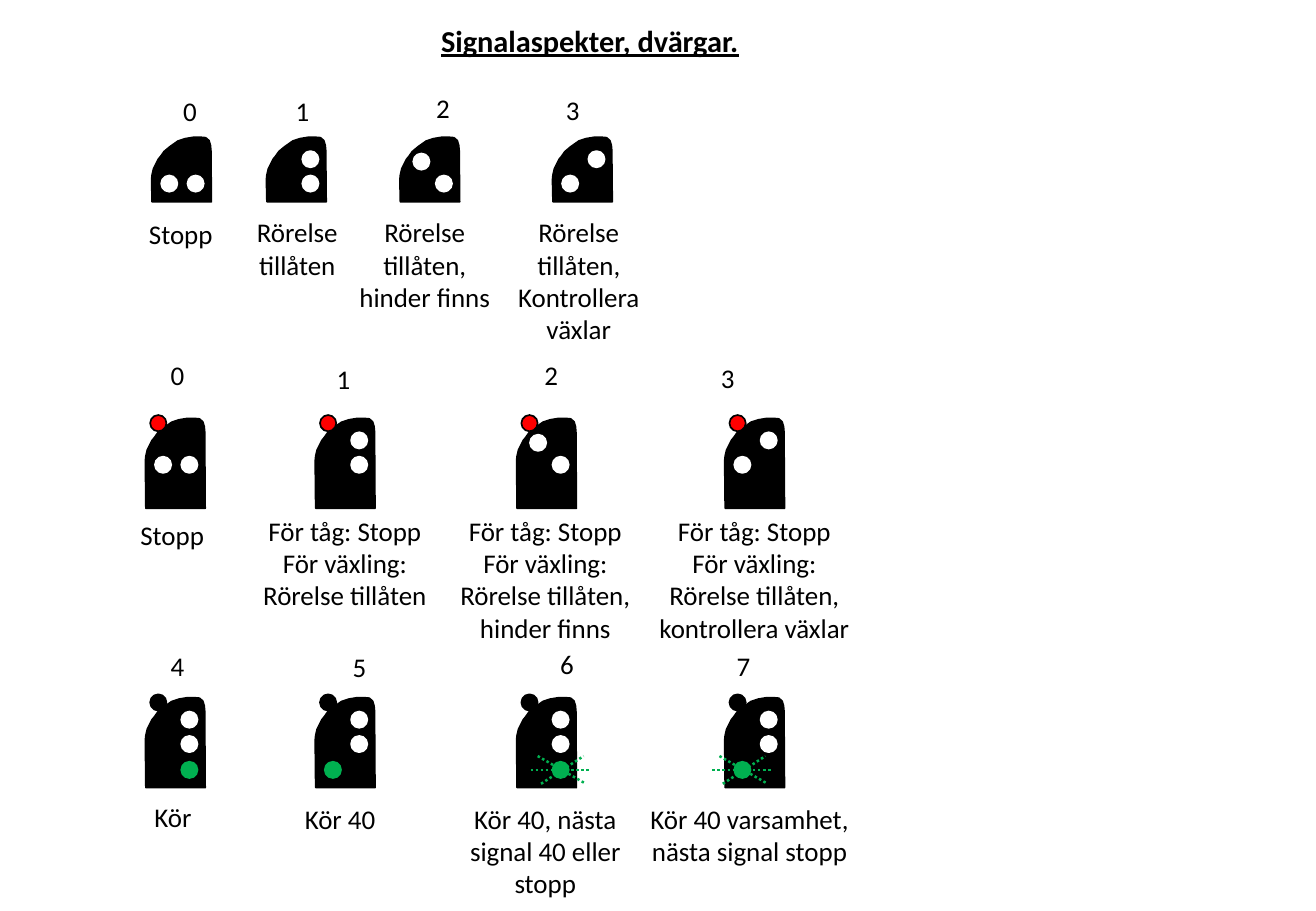
from collections import namedtuple

from lxml import etree
from pptx import Presentation
from pptx import util as u
from pptx.dml.color import RGBColor
from pptx.enum import dml, shapes, text
from pptx.oxml.ns import qn

BLACK = RGBColor(0x00, 0x00, 0x00)
WHITE = RGBColor(0xFF, 0xFF, 0xFF)
RED = RGBColor(0xFF, 0x00, 0x00)
GREEN = RGBColor(0x00, 0xB0, 0x50)

LAMP_SIZE = 0.34
LEFT, RIGHT = 0.2, 0.75
HIGH, MID, LOW = 0.29, 0.8, 1.34
MAST_LAMP = (0.1, -0.07)
STOP = [(LEFT, MID), (RIGHT, MID)]
CLEAR = [(RIGHT, HIGH), (RIGHT, MID)]
OBSTACLE = [(0.28, 0.34), (RIGHT, MID)]
CHECK_POINTS = [(RIGHT, HIGH), (LEFT, MID)]
DOME = [(0, 0.89), (0.01, 0.79), (0.04, 0.66), (0.07, 0.6), (0.14, 0.46), (0.19, 0.4),
        (0.26, 0.3), (0.38, 0.2), (0.55, 0.08), (0.7, 0.03), (0.88, 0), (1.02, 0),
        (1.13, 0.01), (1.2, 0.07), (1.23, 0.17), (1.24, 0.28)]
RAYS = [(-0.63, 0, 0.62, 0), (-0.48, -0.29, 0.51, 0.28), (-0.41, 0.29, 0.48, -0.29)]

Aspect = namedtuple("Aspect", "number number_at whites caption caption_at width lines "
                    "green flashing", defaults=(None, False))
Row = namedtuple("Row", "top lefts height mast aspects")

TALL_LEFTS = [3.04, 6.59, 10.8, 15.15]
ROWS = [
    Row(2.87, [3.17, 5.57, 8.36, 11.55], 1.35, None, [
        Aspect("0", (0.41, -1.02), STOP, "Stopp", (-0.38, 1.55), 1.98, 1),
        Aspect("1", (0.36, -1.02), CLEAR, "Rörelse tillåten", (-0.65, 1.52), 2.59, 2),
        Aspect("2", (0.51, -1.09), OBSTACLE, "Rörelse tillåten, hinder finns",
               (-1.17, 1.52), 3.38, 3),
        Aspect("3", (0.03, -1.04), CHECK_POINTS, "Rörelse tillåten, Kontrollera växlar",
               (-1.14, 1.52), 3.38, 4),
    ]),
    Row(8.75, TALL_LEFTS, 1.88, RED, [
        Aspect("0", (0.28, -1.37), STOP, "Stopp", (-0.43, 1.96), 1.98, 1),
        Aspect("1", (0.2, -1.3), CLEAR, "För tåg: Stopp\nFör växling: Rörelse tillåten",
               (-1.73, 1.88), 4.7, 3),
        Aspect("2", (0.33, -1.37), OBSTACLE,
               "För tåg: Stopp\nFör växling: Rörelse tillåten, hinder finns",
               (-1.75, 1.88), 4.7, 4),
        Aspect("3", (-0.33, -1.32), CHECK_POINTS,
               "För tåg: Stopp\nFör växling: Rörelse tillåten, kontrollera växlar",
               (-1.73, 1.88), 4.7, 4),
    ]),
    Row(14.59, TALL_LEFTS, 1.88, BLACK, [
        Aspect("4", (0.28, -1.14), CLEAR, "Kör", (-0.2, 2.03), 1.55, 1, RIGHT),
        Aspect("5", (0.53, -1.12), CLEAR, "Kör 40", (-1.83, 2.06), 4.7, 1, LEFT),
        Aspect("6", (0.66, -1.17), CLEAR, "Kör 40, nästa signal 40 eller stopp",
               (-1.75, 2.06), 4.7, 3, RIGHT, True),
        Aspect("7", (0, -1.14), CLEAR, "Kör 40 varsamhet, nästa signal stopp",
               (-1.83, 2.06), 4.7, 2, LEFT, True),
    ]),
]


def paint(part, fill, line):
    """Give a shape a plain fill and a one point outline."""
    part.shadow.inherit = False
    part.fill.solid()
    part.fill.fore_color.rgb = fill
    part.line.color.rgb = line
    part.line.width = u.Pt(1)


def add_label(slide, wording, left, top, width, height, size=16, align=text.PP_ALIGN.LEFT):
    """Place a one-paragraph text box and return its paragraph."""
    label = slide.shapes.add_textbox(u.Cm(left), u.Cm(top), u.Cm(width), u.Cm(height))
    label.text_frame.word_wrap = True
    label.text_frame.auto_size = text.MSO_AUTO_SIZE.SHAPE_TO_FIT_TEXT
    paragraph = label.text_frame.paragraphs[0]
    paragraph.text = wording
    paragraph.alignment = align
    paragraph.font.name = "Calibri"
    paragraph.font.size = u.Pt(size)
    paragraph.font.color.rgb = BLACK
    return paragraph


def add_title(slide, left, top, width, height):
    """Place the underlined heading in its box."""
    heading = add_label(slide, "Signalaspekter, dvärgar.", left, top, width, height, 18)
    heading.font.bold = True
    heading.font.underline = True


def add_body(slide, left, top, height):
    """Draw the black signal board with its rounded shoulder."""
    outline = DOME + [(1.25, height)]
    builder = slide.shapes.build_freeform(1, round(height * 100), scale=u.Cm(0.01))
    builder.add_line_segments([(round(x * 100), round(y * 100)) for x, y in outline])
    paint(builder.convert_to_shape(u.Cm(left), u.Cm(top)), BLACK, BLACK)


def add_lamp(slide, left, top, fill, line):
    """Draw one round lamp."""
    lamp = slide.shapes.add_shape(shapes.MSO_SHAPE.OVAL, u.Cm(left), u.Cm(top),
                                  u.Cm(LAMP_SIZE), u.Cm(LAMP_SIZE))
    paint(lamp, fill, line)


def add_rays(slide, centre_x, centre_y):
    """Draw the dotted rays of a flashing lamp around its centre."""
    rays = slide.shapes.add_group_shape()
    for x1, y1, x2, y2 in RAYS:
        ray = rays.shapes.add_connector(
            shapes.MSO_CONNECTOR.STRAIGHT, u.Cm(centre_x + x1), u.Cm(centre_y + y1),
            u.Cm(centre_x + x2), u.Cm(centre_y + y2))
        ray.line.color.rgb = GREEN
        ray.line.width = u.Pt(1.5)
        ray.line.dash_style = dml.MSO_LINE.ROUND_DOT
        etree.SubElement(ray._element.spPr, qn("a:effectLst"))


def add_signal(slide, left, top, height, mast, aspect):
    """Place one signal with its lamps, number and caption."""
    add_body(slide, left, top, height)
    if mast is not None:
        add_lamp(slide, left + MAST_LAMP[0], top + MAST_LAMP[1], mast, BLACK)
    for x, y in aspect.whites:
        add_lamp(slide, left + x, top + y, WHITE, WHITE)
    if aspect.green is not None:
        add_lamp(slide, left + aspect.green, top + LOW, GREEN, GREEN)
    if aspect.flashing:
        add_rays(slide, left + aspect.green + LAMP_SIZE / 2, top + LOW + LAMP_SIZE / 2)
    number_x, number_y = aspect.number_at
    add_label(slide, aspect.number, left + number_x, top + number_y, 0.69, 0.94)
    caption_x, caption_y = aspect.caption_at
    add_label(slide, aspect.caption, left + caption_x, top + caption_y, aspect.width,
              0.25 + 0.69 * aspect.lines, align=text.PP_ALIGN.CENTER)


def add_row(slide, row):
    """Place one row of signals."""
    for left, aspect in zip(row.lefts, row.aspects):
        add_signal(slide, left, row.top, row.height, row.mast, aspect)


def main():
    """Build the slide of dwarf signal aspects."""
    deck = Presentation()
    deck.slide_width, deck.slide_height = u.Cm(27.51), u.Cm(19.05)
    slide = deck.slides.add_slide(deck.slide_layouts[6])
    add_title(slide, 8.97, 0.33, 6.78, 1.02)
    for row in ROWS:
        add_row(slide, row)
    deck.save("out.pptx")


if __name__ == "__main__":
    main()
